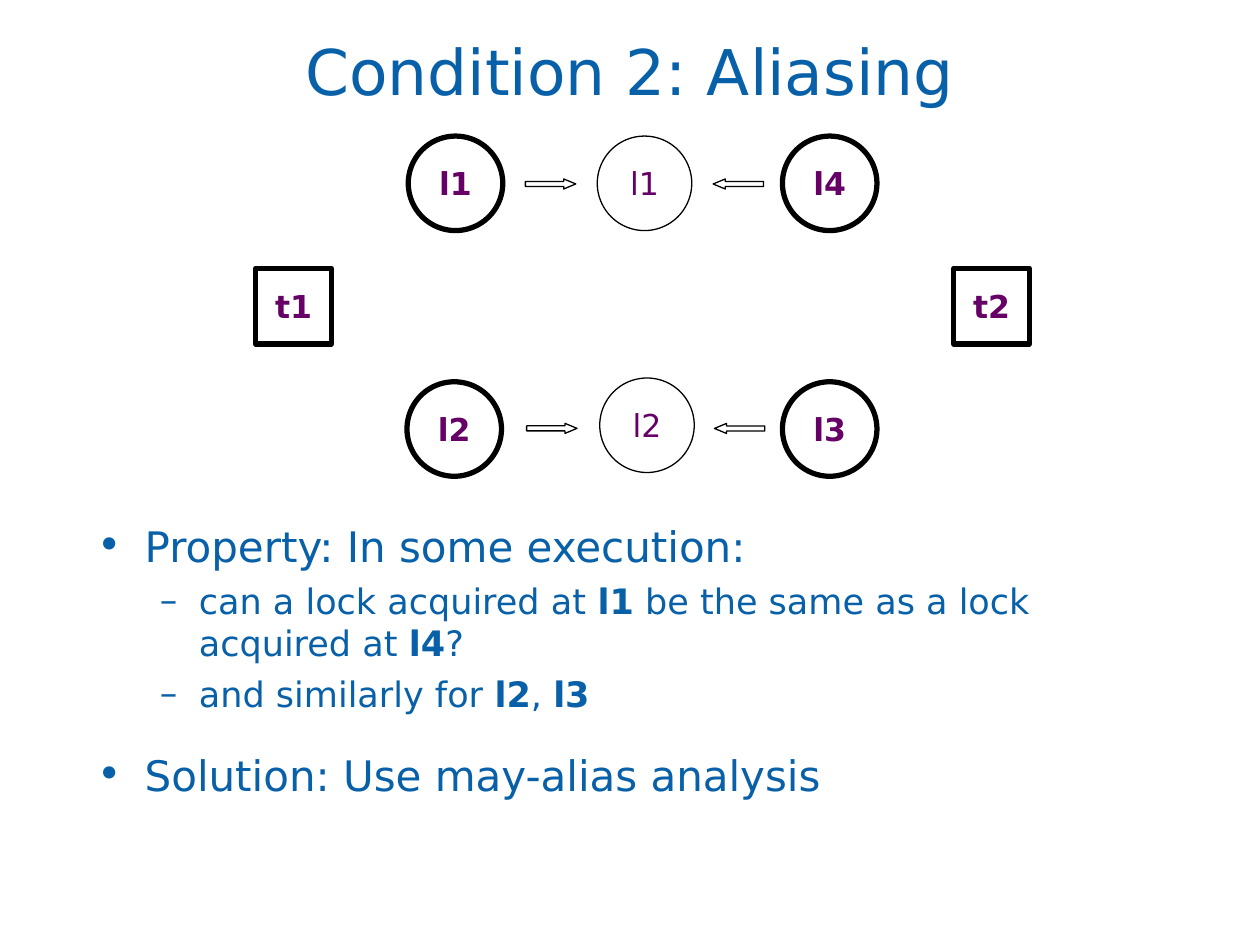
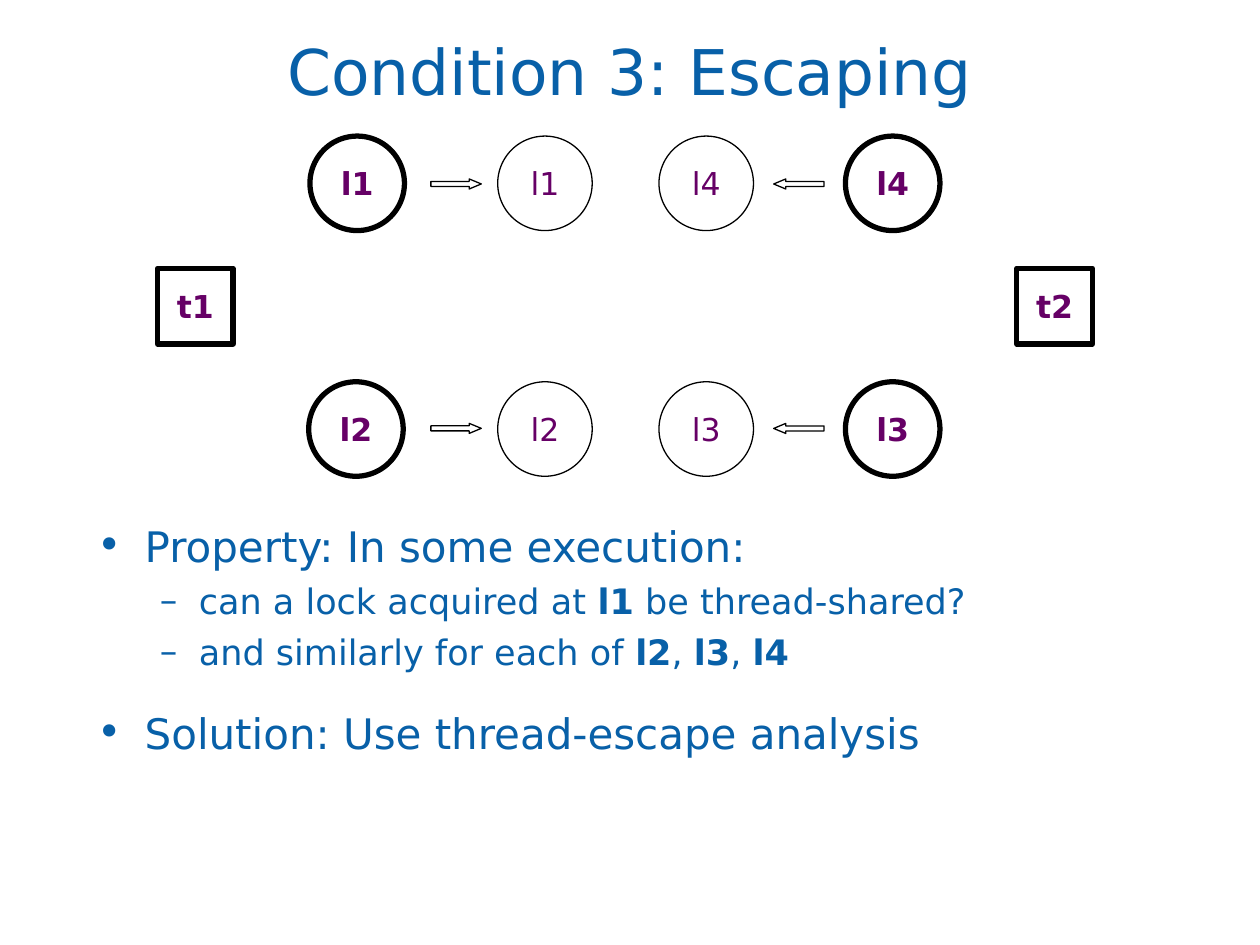
from lxml.etree import SubElement
from pptx import Presentation
from pptx.dml.color import RGBColor
from pptx.enum.shapes import MSO_SHAPE as Preset
from pptx.enum.text import MSO_ANCHOR as Anchor, PP_ALIGN as Align
from pptx.oxml.ns import qn
from pptx.util import Inches, Pt

BLUE = RGBColor(0x08, 0x60, 0xA8)
PURPLE = RGBColor(0x66, 0x00, 0x66)
BLACK = RGBColor(0x00, 0x00, 0x00)
FONT = "DejaVu Sans"

TOP_ROW, BOTTOM_ROW = 1.08, 3.03
TOP_ARROW, BOTTOM_ARROW = 1.42, 3.36
THREAD_TOP = 2.13
LOCK_SIZE, THREAD_SIZE = 0.75, 0.6
THICK, THIN = 3, 0.75

LEVELS = [
    {"size": 24, "bullet": "•", "margin": 0.38, "indent": -0.38, "before": 6},
    {"size": 20, "bullet": "–", "margin": 0.81, "indent": -0.31, "before": 5},
]
SOLUTION_GAP = 20

SLIDES = [
    {
        "title": "Condition 2: Aliasing",
        "body_size": (8.58, 2.58),
        "body": [
            (0, "Property: In some execution:"),
            (1, "can a lock acquired at *l1* be the same as a lock acquired at *l4*?"),
            (1, "and similarly for *l2*, *l3*"),
        ],
        "solution": "Solution: Use may-alias analysis",
        "threads": [("t1", 2.03), ("t2", 7.57)],
        "acquired": [("l1", 3.24, TOP_ROW), ("l2", 3.23, BOTTOM_ROW),
                     ("l4", 6.21, TOP_ROW), ("l3", 6.21, BOTTOM_ROW)],
        "locks": [("l1", 4.74, TOP_ROW), ("l2", 4.76, 3)],
        "arrows": [(4.17, TOP_ARROW, 0), (4.18, BOTTOM_ARROW, 0),
                   (5.66, TOP_ARROW, 180), (5.67, BOTTOM_ARROW, 180)],
    },
    {
        "title": "Condition 3: Escaping",
        "body_size": (8.92, 3.25),
        "body": [
            (0, "Property: In some execution:"),
            (1, "can a lock acquired at *l1* be thread-shared?"),
            (1, "and similarly for each of *l2*, *l3*, *l4*"),
        ],
        "solution": "Solution: Use thread-escape analysis",
        "threads": [("t1", 1.25), ("t2", 8.07)],
        "acquired": [("l1", 2.46, TOP_ROW), ("l2", 2.45, BOTTOM_ROW),
                     ("l4", 6.71, TOP_ROW), ("l3", 6.71, BOTTOM_ROW)],
        "locks": [("l1", 3.95, TOP_ROW), ("l2", 3.95, BOTTOM_ROW),
                  ("l4", 5.23, TOP_ROW), ("l3", 5.23, BOTTOM_ROW)],
        "arrows": [(left, top, turn) for left, turn in ((3.42, 0), (6.14, 180))
                   for top in (TOP_ARROW, BOTTOM_ARROW)],
    },
]


def add_text(paragraph, text, size, color, bold=False):
    for index, part in enumerate(text.split("*")):
        if part:
            run = paragraph.add_run()
            run.text = part
            run.font.color.rgb = color
            font_format = {"name": FONT, "size": Pt(size), "bold": bold or index % 2 == 1}
            for name, value in font_format.items():
                setattr(run.font, name, value)


def add_outline(slide, preset, left, top, width, height, weight, label=""):
    shape = slide.shapes.add_shape(preset, Inches(left), Inches(top), Inches(width), Inches(height))
    shape.shadow.inherit = False
    shape.fill.background()
    shape.line.color.rgb = BLACK
    shape.line.width = Pt(weight)
    if label:
        frame = shape.text_frame
        frame.word_wrap = False
        frame.vertical_anchor = Anchor.MIDDLE
        frame.paragraphs[0].alignment = Align.CENTER
        add_text(frame.paragraphs[0], label, 18, PURPLE, weight == THICK)
    return shape


presentation = Presentation()
presentation.slide_width = Inches(10)
presentation.slide_height = Inches(7.5)

for content in SLIDES:
    slide = presentation.slides.add_slide(presentation.slide_layouts[6])

    title = slide.shapes.add_textbox(Inches(0.5), Inches(0.08), Inches(9), Inches(0.95)).text_frame
    title.word_wrap = True
    title.vertical_anchor = Anchor.MIDDLE
    title.paragraphs[0].alignment = Align.CENTER
    add_text(title.paragraphs[0], content["title"], 36, BLUE)

    width, height = content["body_size"]
    body = slide.shapes.add_textbox(Inches(0.67), Inches(4.08), Inches(width), Inches(height)).text_frame
    body.word_wrap = True
    for index, (level, text) in enumerate(content["body"] + [(0, content["solution"])]):
        style = LEVELS[level]
        paragraph = body.add_paragraph() if index else body.paragraphs[0]
        paragraph.level = level
        paragraph.space_before = Pt(style["before"])
        add_text(paragraph, text, style["size"], BLUE)
        properties = paragraph._p.get_or_add_pPr()
        properties.set("marL", str(Inches(style["margin"])))
        properties.set("indent", str(Inches(style["indent"])))
        bullet_color = SubElement(properties, qn("a:buClr"))
        SubElement(bullet_color, qn("a:srgbClr"), val=str(BLUE))
        SubElement(properties, qn("a:buFont"), typeface=FONT)
        SubElement(properties, qn("a:buChar"), char=style["bullet"])
    paragraph.space_before = Pt(SOLUTION_GAP)

    for label, left in content["threads"]:
        add_outline(slide, Preset.RECTANGLE, left, THREAD_TOP, THREAD_SIZE, THREAD_SIZE, THICK, label)
    for group, weight in (("acquired", THICK), ("locks", THIN)):
        for label, left, top in content[group]:
            add_outline(slide, Preset.OVAL, left, top, LOCK_SIZE, LOCK_SIZE, weight, label)
    for left, top, rotation in content["arrows"]:
        arrow = add_outline(slide, Preset.RIGHT_ARROW, left, top, 0.4, 0.08, THIN)
        arrow.adjustments[1] = 1.2
        arrow.rotation = rotation

presentation.save("out.pptx")
